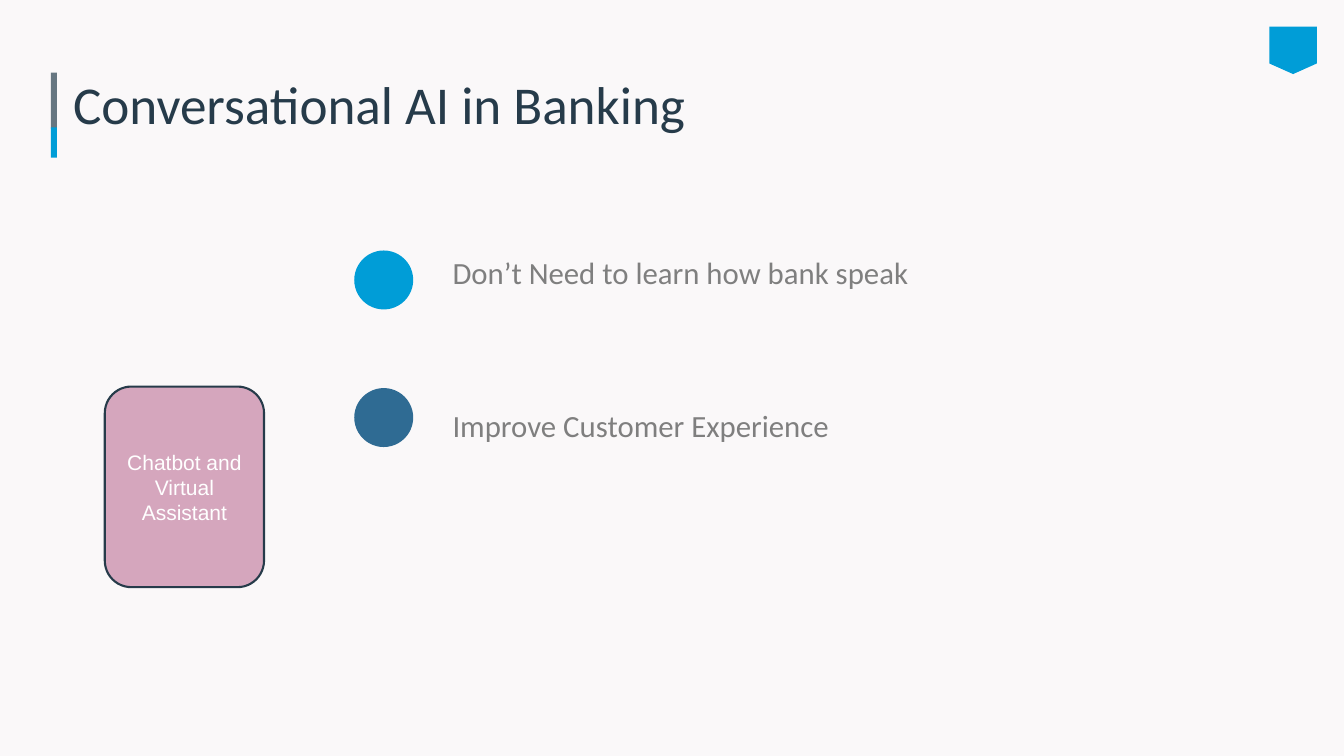
from dataclasses import dataclass

from pptx import Presentation
from pptx.dml.color import RGBColor
from pptx.enum.shapes import MSO_SHAPE
from pptx.enum.text import MSO_ANCHOR, PP_ALIGN
from pptx.shapes.autoshape import Shape
from pptx.slide import Slide
from pptx.util import Inches, Pt

BACKGROUND, BLUE, STEEL = "FAF8F9", "009DD7", "2F6B93"
SLATE, NAVY, GREY = "667681", "263B4A", "7F7F7F"
PINK, WHITE = "D5A6BD", "FFFFFF"


@dataclass(frozen=True)
class Box:
    left: float
    top: float
    width: float
    height: float

    def emu(self) -> list[int]:
        return [Inches(v) for v in (self.left, self.top, self.width, self.height)]


@dataclass(frozen=True)
class TextStyle:
    size: float
    font: str
    color: str
    inset: float = 0
    anchor: MSO_ANCHOR = MSO_ANCHOR.MIDDLE
    align: PP_ALIGN = PP_ALIGN.LEFT
    hanging: bool = False
    line_spacing: float = 1.0


@dataclass(frozen=True)
class Benefit:
    text: str
    box: Box
    dot_top: float
    dot_color: str


TITLE = TextStyle(76, "Calibri", NAVY, 0.06, MSO_ANCHOR.BOTTOM, line_spacing=0.8)
BODY = TextStyle(44, "Calibri", GREY, hanging=True)
CARD = TextStyle(30, "Arial", WHITE, 0.1, align=PP_ALIGN.CENTER)

TITLE_BARS = [(Box(1.01, 1.44, 0.12, 1.11), SLATE), (Box(1.01, 2.53, 0.12, 0.6), BLUE)]
FLAG = [(25.19, 1.26), (25.66, 1.47), (26.13, 1.26), (26.13, 0.53), (25.19, 0.53)]
DOT_LEFT, DOT_SIZE = 7.03, 1.17
BENEFITS = [
    Benefit("Don’t Need to learn how bank speak", Box(8.73, 4.66, 12.87, 1.48), 4.97, BLUE),
    Benefit("Improve Customer Experience", Box(8.73, 7.7, 11.73, 1.48), 7.7, STEEL),
]


def rgb(color: str) -> RGBColor:
    return RGBColor.from_string(color)


def paint(sp: Shape, fill: str) -> None:
    """Give a shape a flat fill with no outline or shadow."""
    sp.shadow.inherit = False
    sp.fill.solid()
    sp.fill.fore_color.rgb = rgb(fill)
    sp.line.fill.background()


def add_block(s: Slide, kind: MSO_SHAPE, box: Box, fill: str) -> Shape:
    sp = s.shapes.add_shape(kind, *box.emu())
    paint(sp, fill)
    return sp


def write(sp: Shape, text: str, style: TextStyle) -> None:
    tf = sp.text_frame
    tf.word_wrap = True
    tf.vertical_anchor = style.anchor
    tf.margin_left = tf.margin_right = Inches(style.inset)
    tf.margin_top = tf.margin_bottom = Inches(style.inset)
    p = tf.paragraphs[0]
    p.alignment = style.align
    p.line_spacing = style.line_spacing
    if style.hanging:
        pPr = p._p.get_or_add_pPr()
        pPr.set("marL", str(Inches(0.5)))
        pPr.set("indent", str(Inches(-0.25)))
    r = p.add_run()
    r.text = text
    r.font.size = Pt(style.size)
    r.font.name = style.font
    r.font.color.rgb = rgb(style.color)


def add_text(s: Slide, box: Box, text: str, style: TextStyle) -> None:
    write(s.shapes.add_textbox(*box.emu()), text, style)


def add_flag(s: Slide) -> None:
    start, *rest = [(Inches(x), Inches(y)) for x, y in FLAG]
    builder = s.shapes.build_freeform(*start)
    builder.add_line_segments(rest, close=True)
    paint(builder.convert_to_shape(), BLUE)


def add_card(s: Slide) -> None:
    sp = add_block(s, MSO_SHAPE.ROUNDED_RECTANGLE, Box(2.08, 7.67, 3.16, 3.98), PINK)
    sp.line.color.rgb = rgb(NAVY)
    sp.line.width = Pt(3)
    write(sp, "Chatbot and Virtual Assistant", CARD)


def add_benefit(s: Slide, benefit: Benefit) -> None:
    dot = Box(DOT_LEFT, benefit.dot_top, DOT_SIZE, DOT_SIZE)
    add_block(s, MSO_SHAPE.OVAL, dot, benefit.dot_color)
    add_text(s, benefit.box, benefit.text, BODY)


def main() -> None:
    prs = Presentation()
    prs.slide_width, prs.slide_height = Inches(26.67), Inches(15)
    s = prs.slides.add_slide(prs.slide_layouts[6])
    s.background.fill.solid()
    s.background.fill.fore_color.rgb = rgb(BACKGROUND)

    add_flag(s)
    for box, color in TITLE_BARS:
        add_block(s, MSO_SHAPE.RECTANGLE, box, color)
    add_text(s, Box(1.39, 1.25, 22.78, 1.49), "Conversational AI in Banking", TITLE)
    add_card(s)
    for benefit in BENEFITS:
        add_benefit(s, benefit)

    prs.save("out.pptx")


if __name__ == "__main__":
    main()
